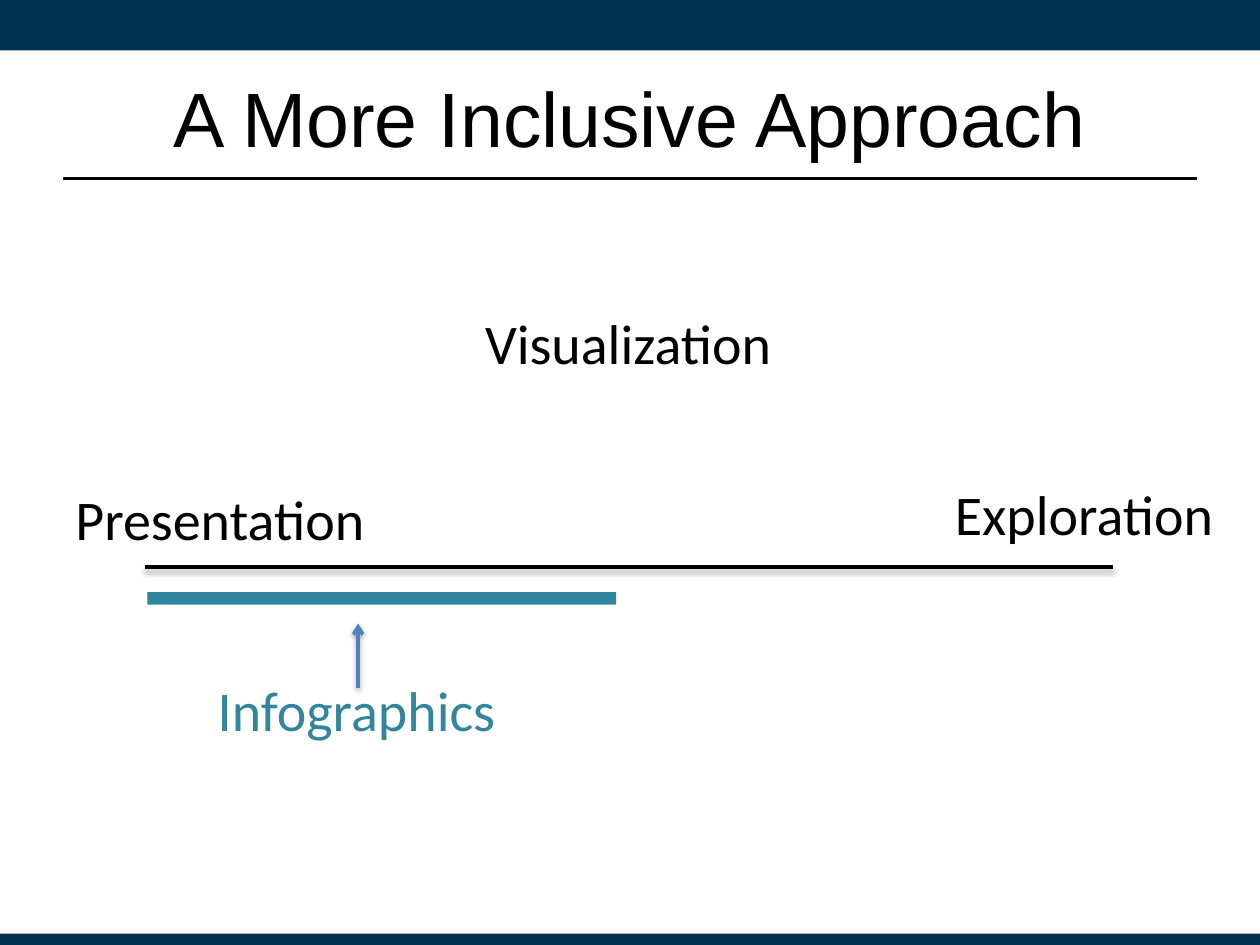
from dataclasses import dataclass
from lxml.etree import SubElement as Sub
from pptx import Presentation
from pptx.dml.color import RGBColor as Rgb
from pptx.enum.shapes import MSO_CONNECTOR as Link, MSO_SHAPE as Kind
from pptx.enum.text import MSO_ANCHOR as Anchor, MSO_AUTO_SIZE as Fit, PP_ALIGN as Align
from pptx.oxml.ns import qn
from pptx.util import Cm, Pt


@dataclass
class Theme:
    navy: Rgb = Rgb(0x00, 0x32, 0x52)
    black: Rgb = Rgb(0, 0, 0)
    teal: Rgb = Rgb(0x31, 0x85, 0x9C)
    blue: Rgb = Rgb(0x4F, 0x81, 0xBD)
    head: Pt = Pt(44)
    label: Pt = Pt(32)


def style(para, name, size, color, align):
    para.alignment = align
    for run in para.runs:
        run.font.name = name
        run.font.size = size
        run.font.color.rgb = color


def draw(start, end, color, width, shade):
    line = slide.shapes.add_connector(Link.STRAIGHT, *map(Cm, start + end))
    line.line.color.rgb = color
    line.line.width = Pt(width)
    fx = Sub(line._element.spPr, qn("a:effectLst"))
    if shade:
        cast = Sub(fx, qn("a:outerShdw"), blurRad="40000", dist="20000", dir="5400000", rotWithShape="0")
        tint = Sub(cast, qn("a:srgbClr"), val="000000")
        Sub(tint, qn("a:alpha"), val="38000")
    return line


theme = Theme()
deck = Presentation()
deck.slide_width, deck.slide_height = Cm(25.4), Cm(19.05)
slide = deck.slides.add_slide(deck.slide_layouts[5])

title = slide.shapes.title
title.left, title.top, title.width, title.height = map(Cm, (1.27, 0.76, 22.86, 3.18))
title.text_frame.text = "A More Inclusive Approach"
title.text_frame.vertical_anchor = Anchor.MIDDLE
style(title.text_frame.paragraphs[0], "Arial", theme.head, theme.black, Align.CENTER)

bars = [
    ((0, 0, 25.4, 1.02), theme.navy),
    ((0, 18.82, 25.4, 0.23), theme.navy),
    ((2.97, 11.94, 9.45, 0.25), theme.teal),
]
for area, color in bars:
    bar = slide.shapes.add_shape(Kind.RECTANGLE, *map(Cm, area))
    bar.shadow.inherit = False
    bar.fill.solid()
    bar.fill.fore_color.rgb = color
    bar.line.fill.background()

draw((1.27, 3.6), (24.13, 3.6), theme.black, 1.25, False)
draw((2.92, 11.43), (22.43, 11.43), theme.black, 2, True)
arrow = draw((7.22, 13.86), (7.22, 12.57), theme.blue, 2, True)
Sub(arrow.line._get_or_add_ln(), qn("a:tailEnd"), type="arrow")

labels = [
    ("Presentation", (1.27, 9.65, 6.91, 1.63), theme.black, Align.LEFT),
    ("Exploration", (19, 9.55, 5.79, 1.63), theme.black, Align.LEFT),
    ("Visualization", (9.4, 6.1, 6.53, 1.63), theme.black, Align.CENTER),
    ("Infographics", (4.14, 13.49, 6.17, 1.63), theme.teal, Align.LEFT),
]
for text, area, color, align in labels:
    frame = slide.shapes.add_textbox(*map(Cm, area)).text_frame
    frame.word_wrap = False
    frame.auto_size = Fit.SHAPE_TO_FIT_TEXT
    frame.text = text
    style(frame.paragraphs[0], "Calibri", theme.label, color, align)

deck.save("out.pptx")
